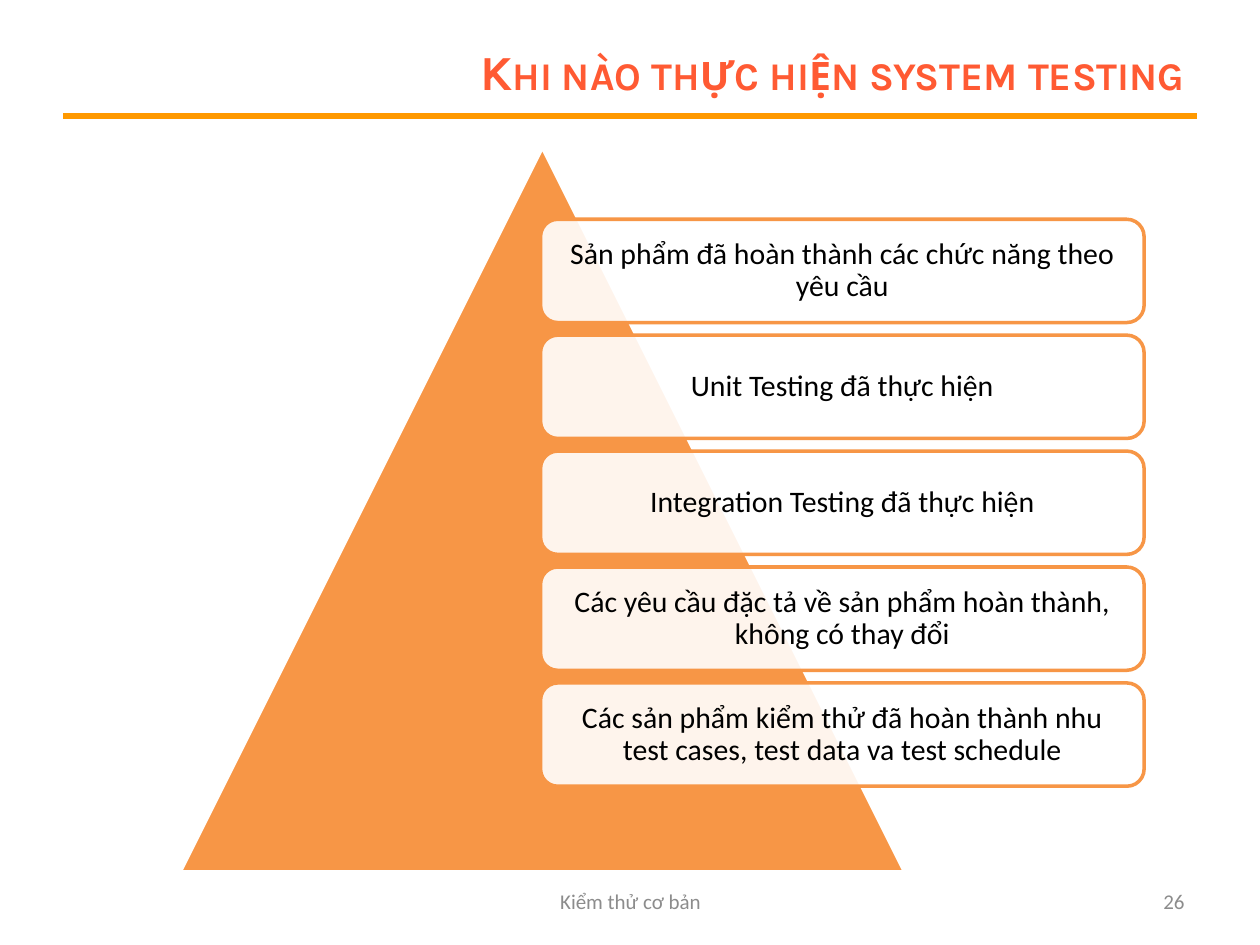
from dataclasses import dataclass

from lxml.etree import SubElement
from pptx import Presentation
from pptx.dml.color import RGBColor
from pptx.enum.shapes import MSO_CONNECTOR, MSO_SHAPE
from pptx.enum.text import MSO_ANCHOR, PP_ALIGN
from pptx.oxml.ns import qn
from pptx.shapes.autoshape import Shape
from pptx.slide import Slide
from pptx.util import Inches, Pt


@dataclass(frozen=True)
class Theme:
    title_color: RGBColor = RGBColor(0xFF, 0x5A, 0x33)
    rule: RGBColor = RGBColor(0xFF, 0x99, 0x00)
    accent: RGBColor = RGBColor(0xF7, 0x96, 0x46)
    white: RGBColor = RGBColor(0xFF, 0xFF, 0xFF)
    body: RGBColor = RGBColor(0x00, 0x00, 0x00)
    muted: RGBColor = RGBColor(0x8C, 0x8C, 0x8C)
    title_font: str = "Karla"
    body_font: str = "Calibri"
    title_size: int = 28
    body_size: int = 17
    footer_size: int = 12
    card_opacity: int = 90


@dataclass(frozen=True)
class Area:
    left: float
    top: float
    width: float
    height: float

    def lengths(self) -> tuple[Inches, ...]:
        return tuple(Inches(v) for v in (self.left, self.top, self.width, self.height))


@dataclass(frozen=True)
class TextStyle:
    font: str
    size: int
    color: RGBColor
    align: PP_ALIGN
    small_caps_bold: bool = False


THEME = Theme()
TITLE = TextStyle(THEME.title_font, THEME.title_size, THEME.title_color, PP_ALIGN.RIGHT, True)
CARD = TextStyle(THEME.body_font, THEME.body_size, THEME.body, PP_ALIGN.CENTER)
FOOTER = TextStyle(THEME.body_font, THEME.footer_size, THEME.muted, PP_ALIGN.CENTER)
PAGE_NUMBER = TextStyle(THEME.body_font, THEME.footer_size, THEME.muted, PP_ALIGN.RIGHT)

FIRST_CARD = Area(4.29, 1.74, 4.79, 0.82)
CARD_STEP = 0.92
CARD_INSET = 0.1
CONDITIONS = (
    "Sản phẩm đã hoàn thành các chức năng theo yêu cầu",
    "Unit Testing đã thực hiện",
    "Integration Testing đã thực hiện",
    "Các yêu cầu đặc tả về sản phẩm hoàn thành, không có thay đổi",
    "Các sản phẩm kiểm thử đã hoàn thành nhu test cases, test data va test schedule",
)


def write_text(box: Shape, text: str, style: TextStyle) -> None:
    frame = box.text_frame
    frame.word_wrap = True
    frame.vertical_anchor = MSO_ANCHOR.MIDDLE
    para = frame.paragraphs[0]
    para.alignment = style.align
    para.font.name = style.font
    para.font.size = Pt(style.size)
    para.font.color.rgb = style.color
    span = para.add_run()
    span.text = text
    if style.small_caps_bold:
        para.font.bold = True
        span.font.bold = True
        span._r.get_or_add_rPr().set("cap", "small")


def add_text(page: Slide, area: Area, text: str, style: TextStyle) -> None:
    write_text(page.shapes.add_textbox(*area.lengths()), text, style)


def add_outlined_shape(page: Slide, kind: MSO_SHAPE, area: Area,
                       fill: RGBColor, outline: RGBColor) -> Shape:
    shape = page.shapes.add_shape(kind, *area.lengths())
    shape.shadow.inherit = False
    shape.fill.solid()
    shape.fill.fore_color.rgb = fill
    shape.line.color.rgb = outline
    shape.line.width = Pt(2)
    return shape


def add_card(page: Slide, area: Area, text: str) -> None:
    card = add_outlined_shape(page, MSO_SHAPE.ROUNDED_RECTANGLE, area, THEME.white, THEME.accent)
    color = card._element.spPr.find(qn("a:solidFill")).find(qn("a:srgbClr"))
    SubElement(color, qn("a:alpha")).set("val", str(THEME.card_opacity * 1000))
    write_text(card, text, CARD)
    frame = card.text_frame
    frame.margin_left = frame.margin_right = Inches(CARD_INSET)
    frame.margin_top = frame.margin_bottom = Inches(CARD_INSET)
    frame.paragraphs[0].line_spacing = 0.9


def add_rule(page: Slide) -> None:
    rule = page.shapes.add_connector(
        MSO_CONNECTOR.STRAIGHT, Inches(0.5), Inches(0.92), Inches(9.5), Inches(0.92))
    rule.line.color.rgb = THEME.rule
    rule.line.width = Pt(3)
    SubElement(rule._element.spPr, qn("a:effectLst"))


def main() -> None:
    deck = Presentation()
    deck.slide_width, deck.slide_height = Inches(10), Inches(7.5)
    page = deck.slides.add_slide(deck.slide_layouts[6])

    add_rule(page)
    add_text(page, Area(2.25, 0.3, 7.25, 0.53), "Khi nào thực hiện system testing", TITLE)
    add_outlined_shape(page, MSO_SHAPE.ISOSCELES_TRIANGLE, Area(1.43, 1.17, 5.75, 5.75),
                       THEME.accent, THEME.white)
    for index, condition in enumerate(CONDITIONS):
        top = FIRST_CARD.top + index * CARD_STEP
        add_card(page, Area(FIRST_CARD.left, top, FIRST_CARD.width, FIRST_CARD.height), condition)
    add_text(page, Area(3.42, 6.95, 3.17, 0.4), "Kiểm thử cơ bản", FOOTER)
    add_text(page, Area(7.17, 6.95, 2.33, 0.4), "26", PAGE_NUMBER)

    deck.save("out.pptx")


if __name__ == "__main__":
    main()
